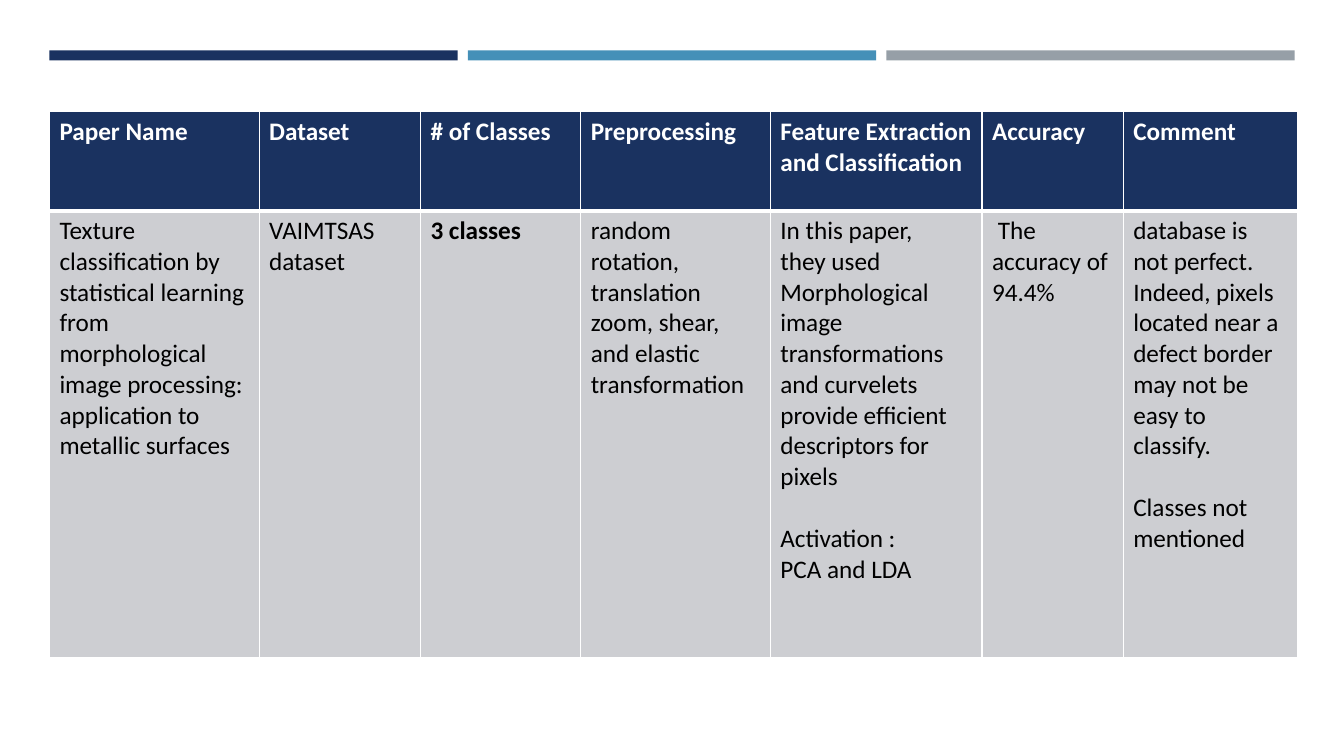
from lxml import etree
from pptx import Presentation
from pptx.dml.color import RGBColor
from pptx.enum.shapes import MSO_SHAPE
from pptx.oxml.ns import qn
from pptx.util import Inches, Pt

NAVY, BLUE, GRAY = "1A3260", "4590B8", "969FA7"
WHITE, BLACK, PALE = "FFFFFF", "000000", "CDCED2"
LEFT = 0.49
BAR_WIDTH, BAR_STEP = 4.05, 4.15
COLUMN_WIDTHS = [2.08, 1.6, 1.59, 1.88, 2.1, 1.4, 1.73]
ROW_HEIGHTS = [0.98, 4.43]
LINE_GAP = 22  # points, one line of body text

HEADINGS = ["Paper Name", "Dataset", "# of Classes", "Preprocessing",
            "Feature Extraction and Classification", "Accuracy", "Comment"]

# Each cell is a list of blocks, each block a list of paragraphs
STUDY = [
    [["Texture classification by statistical learning from morphological",
      "image processing: application to metallic surfaces"]],
    [["VAIMTSAS dataset"]],
    [["3 classes"]],
    [["random rotation, translation",
      "zoom, shear, and elastic transformation"]],
    [["In this paper,",
      "they used Morphological image transformations and curvelets "
      "provide efficient descriptors for pixels"],
     ["Activation :", "PCA and LDA"]],
    [[" The accuracy of 94.4%"]],
    [["database is not perfect. Indeed, pixels located near a defect "
      "border may not be easy to classify."],
     ["Classes not mentioned"]],
]
BOLD_COLUMN = HEADINGS.index("# of Classes")


def color(value):
    return RGBColor.from_string(value)


def add_bar(page, left, fill):
    bar = page.shapes.add_shape(MSO_SHAPE.RECTANGLE, Inches(left), Inches(0.5),
                                Inches(BAR_WIDTH), Inches(0.1))
    bar.shadow.inherit = False
    bar.fill.solid()
    bar.fill.fore_color.rgb = color(fill)
    bar.line.fill.background()


def set_borders(cell, top, bottom):
    properties = cell._tc.get_or_add_tcPr()
    for side, width in (("L", 1), ("R", 1), ("T", top), ("B", bottom)):
        line = etree.SubElement(properties, qn(f"a:ln{side}"), w=str(Pt(width)))
        fill = etree.SubElement(line, qn("a:solidFill"))
        etree.SubElement(fill, qn("a:srgbClr"), val=WHITE)


def write_cell(cell, blocks, text_color, bold):
    frame = cell.text_frame
    frame.word_wrap = True
    para = frame.paragraphs[0]
    for block_index, block in enumerate(blocks):
        for line_index, text in enumerate(block):
            if block_index or line_index:
                para = frame.add_paragraph()
            if block_index and not line_index:
                para.space_before = Pt(LINE_GAP)
            span = para.add_run()
            span.text = text
            span.font.name = "Calibri"
            span.font.size = Pt(18)
            span.font.bold = bold
            span.font.color.rgb = color(text_color)


def style_cell(cell, fill, top, bottom):
    set_borders(cell, top, bottom)
    cell.fill.solid()
    cell.fill.fore_color.rgb = color(fill)


def add_study_table(page):
    frame = page.shapes.add_table(
        len(ROW_HEIGHTS), len(COLUMN_WIDTHS), Inches(LEFT), Inches(1.11),
        Inches(sum(COLUMN_WIDTHS)), Inches(sum(ROW_HEIGHTS)))
    table = frame.table
    for column, width in zip(table.columns, COLUMN_WIDTHS):
        column.width = Inches(width)
    for row, height in zip(table.rows, ROW_HEIGHTS):
        row.height = Inches(height)
    for index, (heading, blocks) in enumerate(zip(HEADINGS, STUDY)):
        header, body = table.cell(0, index), table.cell(1, index)
        style_cell(header, NAVY, 1, 3)
        write_cell(header, [[heading]], WHITE, True)
        style_cell(body, PALE, 3, 1)
        write_cell(body, blocks, BLACK, index == BOLD_COLUMN)


def main():
    deck = Presentation()
    deck.slide_width, deck.slide_height = Inches(13.33), Inches(7.5)
    page = deck.slides.add_slide(deck.slide_layouts[6])

    # Colour bars across the top
    for index, fill in enumerate((NAVY, BLUE, GRAY)):
        add_bar(page, LEFT + index * BAR_STEP, fill)

    # Literature review table
    add_study_table(page)
    deck.save("out.pptx")


if __name__ == "__main__":
    main()
